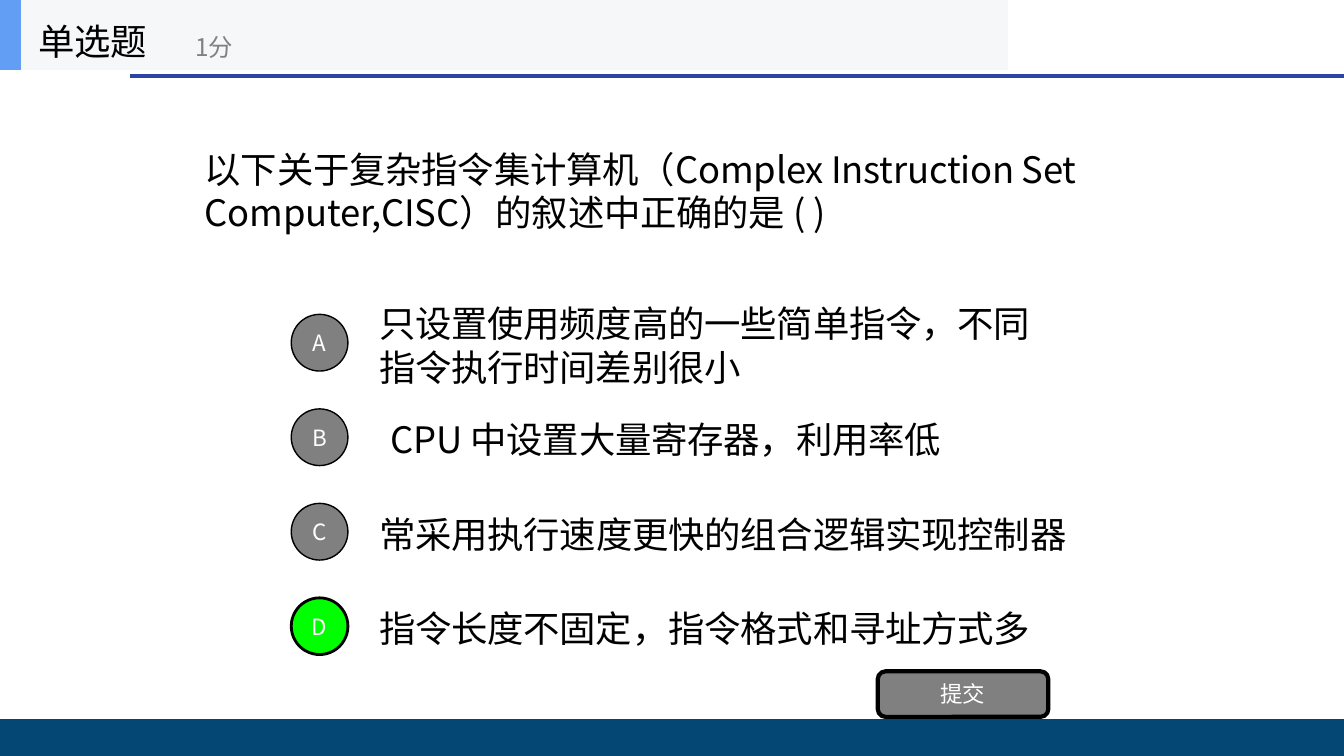
from dataclasses import dataclass

from lxml.etree import SubElement
from pptx import Presentation
from pptx.dml.color import RGBColor
from pptx.enum.shapes import MSO_CONNECTOR as Connector, MSO_SHAPE as Preset
from pptx.enum.text import MSO_ANCHOR as Anchor, MSO_AUTO_SIZE as AutoSize, PP_ALIGN as Align
from pptx.oxml.ns import qn
from pptx.util import Inches, Pt


@dataclass(frozen=True)
class Theme:
    font: str = "Noto Sans CJK SC"
    ink: str = "000000"
    white: str = "FFFFFF"
    grey: str = "808080"
    correct: str = "00FF00"
    accent: str = "629EF4"
    title_band: str = "F6F7F8"
    rule: str = "2C44A3"
    footer: str = "044775"
    text_size: int = 26
    score_size: int = 30
    label_size: int = 16
    leading: float = 1.2
    tracking: int = -20


class QuizSlide:
    """A slide on a grid of 64 columns by 36 rows."""

    def __init__(self, deck, theme):
        self.theme = theme
        self.slide = deck.slides.add_slide(deck.slide_layouts[1])
        self.col = deck.slide_width / 64
        self.row = deck.slide_height / 36

    def place(self, left, top, width, height):
        return [round(n) for n in (left * self.col, top * self.row,
                                   width * self.col, height * self.row)]

    def style(self, run, size, color):
        run.font.size = Pt(size)
        run.font.color.rgb = RGBColor.from_string(color)
        run.font.name = self.theme.font
        props = run.font._element
        props.set("spc", str(self.theme.tracking))
        SubElement(props, qn("a:ea"), typeface=self.theme.font)

    def set_line(self, shape, text, size, color, align=Align.LEFT, anchor=Anchor.MIDDLE):
        frame = shape.text_frame
        frame.word_wrap = True
        frame.auto_size = AutoSize.NONE
        frame.vertical_anchor = anchor
        frame.margin_left = frame.margin_top = frame.margin_right = frame.margin_bottom = 0
        frame.text = text
        line = frame.paragraphs[0]
        line.alignment = align
        line.line_spacing = Pt(round(size * self.theme.leading))
        line.space_before = Pt(0)
        self.style(line.runs[0], size, color)
        return line

    def move(self, holder, *cells):
        holder.left, holder.top, holder.width, holder.height = self.place(*cells)

    def title(self, heading, score, *cells):
        holder = self.slide.shapes.title
        self.move(holder, *cells)
        holder.fill.solid()
        holder.fill.fore_color.rgb = RGBColor.from_string(self.theme.title_band)
        line = self.set_line(holder, heading + "\t", self.theme.text_size,
                             self.theme.ink, anchor=Anchor.TOP)
        holder.text_frame.margin_left = Inches(0.17)
        holder.text_frame.margin_top = Inches(0.2)
        tabs = SubElement(line._p.get_or_add_pPr(), qn("a:tabLst"))
        SubElement(tabs, qn("a:tab"), pos=str(Inches(1.56)), algn="l")
        points = line.add_run()
        points.text = score
        self.style(points, self.theme.score_size, self.theme.grey)
        points.font._element.set("baseline", "-4000")

    def question(self, text, *cells):
        holder = self.slide.placeholders[1]
        self.move(holder, *cells)
        line = self.set_line(holder, text, self.theme.text_size, self.theme.ink,
                             anchor=Anchor.TOP)
        props = line._p.get_or_add_pPr()
        props.set("marL", "0")
        props.set("indent", "0")
        SubElement(props, qn("a:buNone"))

    def label(self, text, *cells):
        box = self.slide.shapes.add_textbox(*self.place(*cells))
        self.set_line(box, text, self.theme.text_size, self.theme.ink)

    def block(self, preset, fill, *cells, outline=0, text=""):
        shape = self.slide.shapes.add_shape(preset, *self.place(*cells))
        shape.shadow.inherit = False
        shape.fill.solid()
        shape.fill.fore_color.rgb = RGBColor.from_string(fill)
        if outline:
            shape.line.color.rgb = RGBColor.from_string(self.theme.ink)
            shape.line.width = Pt(outline)
        else:
            shape.line.fill.background()
        if text:
            self.set_line(shape, text, self.theme.label_size, self.theme.white, Align.CENTER)
        return shape

    def rule(self, start, end, row, weight):
        left, top, width, _ = self.place(start, row, end - start, 0)
        line = self.slide.shapes.add_connector(Connector.STRAIGHT, left, top, left + width, top)
        line.line.color.rgb = RGBColor.from_string(self.theme.rule)
        line.line.width = Pt(weight)
        SubElement(line._element.spPr, qn("a:effectLst"))


def main():
    deck = Presentation()
    deck.slide_width, deck.slide_height = Inches(13.33), Inches(7.5)
    theme = Theme()
    quiz = QuizSlide(deck, theme)

    # Header and footer bands
    quiz.title("单选题", "1分", 1, 0, 47, 3.33)
    quiz.block(Preset.RECTANGLE, theme.accent, 0, 0, 1, 3.33)
    quiz.rule(6.2, 64, 3.63, weight=3)
    quiz.block(Preset.RECTANGLE, theme.footer, 0, 34.25, 64, 1.75)

    # Question
    quiz.question("以下关于复杂指令集计算机（Complex Instruction Set Computer,CISC）的叙述中正确的是 ( )",
                  9.75, 7, 42.5, 4.3)

    # Answer options: letter, text, left column, width in columns
    options = [
        ("A", "只设置使用频度高的一些简单指令，不同指令执行时间差别很小", 18.05, 31.4),
        ("B", "CPU 中设置大量寄存器，利用率低", 18.6, 31.4),
        ("C", "常采用执行速度更快的组合逻辑实现控制器", 18.05, 33.1),
        ("D", "指令长度不固定，指令格式和寻址方式多", 18.05, 31.4),
    ]
    answer = "D"
    badge, option_height, first_middle, pitch = 2.7, 4.2, 16.32, 4.5
    for index, (letter, option, left, width) in enumerate(options):
        middle = first_middle + index * pitch
        chosen = letter == answer
        quiz.block(Preset.OVAL, theme.correct if chosen else theme.grey,
                   13.87, middle - badge / 2, badge, badge,
                   outline=2 if chosen else 1, text=letter)
        quiz.label(option, left, middle - option_height / 2 + 0.1, width, option_height)

    # Submit button
    submit = quiz.block(Preset.ROUNDED_RECTANGLE, theme.grey, 41.8, 31.97, 8.12, 2.17,
                        outline=3, text="提交")
    submit.adjustments[0] = 0.17

    deck.save("out.pptx")


if __name__ == "__main__":
    main()
